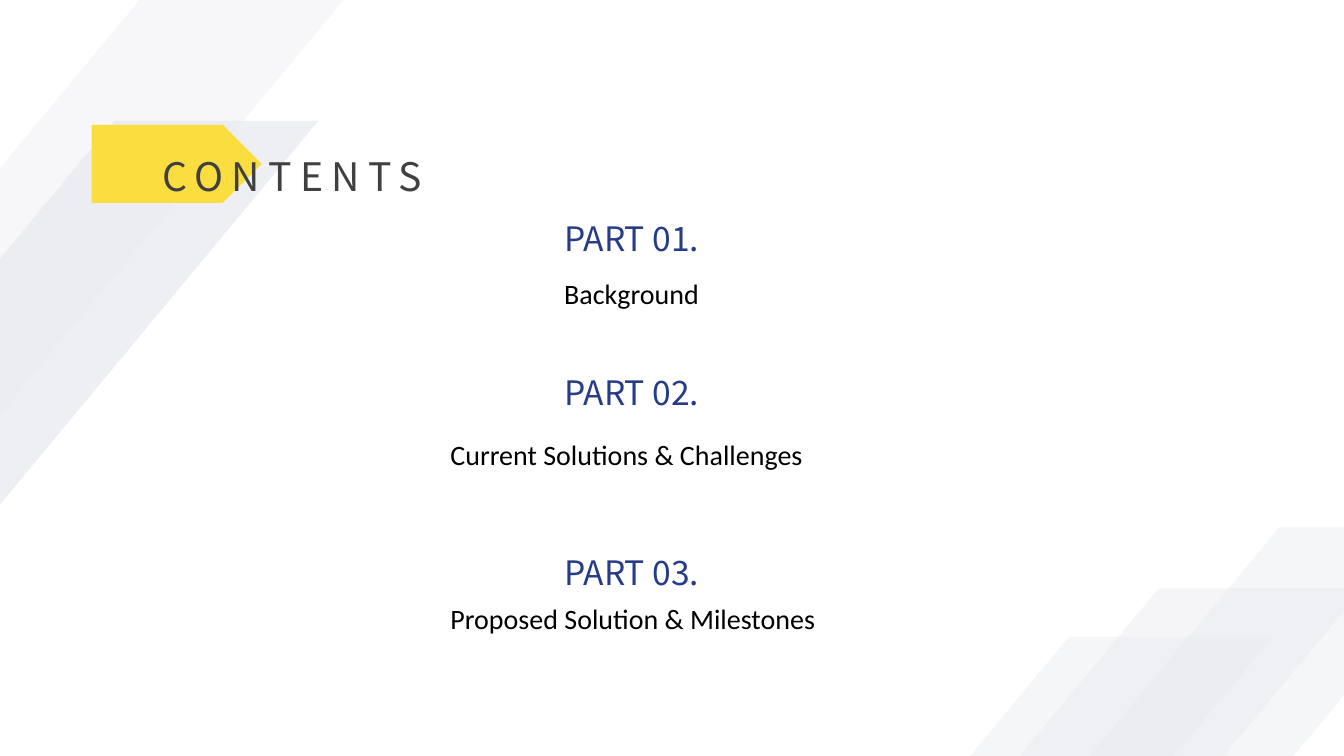
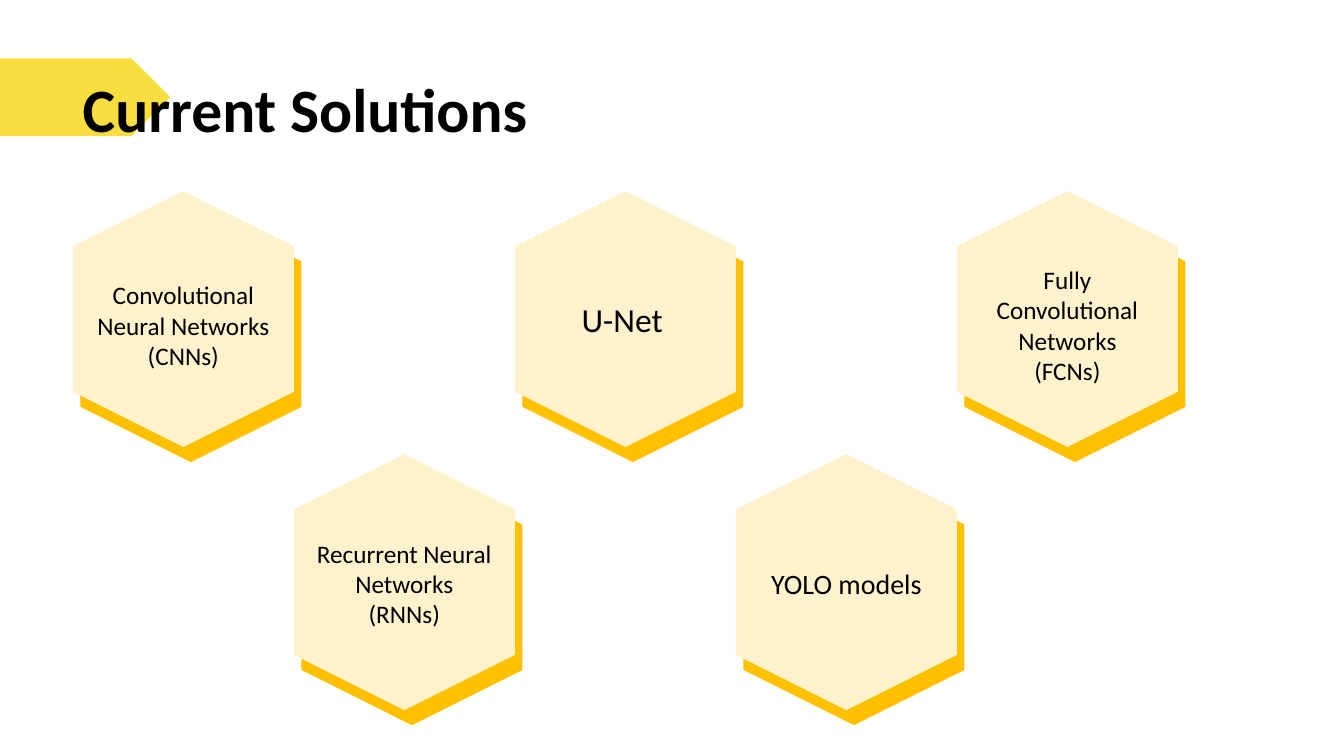
from lxml import etree
from pptx import Presentation
from pptx.dml.color import RGBColor
from pptx.enum import shapes, text
from pptx.oxml.ns import qn
from pptx.util import Cm, Pt

YELLOW, AMBER, CREAM = "FADE40", "FFC000", "FFF2CC"
NAVY, GREY, BLACK, MIST = "263C88", "404040", "000000", "E9EAEF"
SANS, CJK = "Calibri", "Noto Sans CJK SC"
SHAPE = shapes.MSO_SHAPE
LEFT, CENTER = text.PP_ALIGN.LEFT, text.PP_ALIGN.CENTER
TOP, MIDDLE = text.MSO_ANCHOR.TOP, text.MSO_ANCHOR.MIDDLE


def rgb(color):
    return RGBColor.from_string(color)


def add_block(s, kind, x, y, w, h, color, alpha=None):
    """Add a flat preset shape; alpha is its opacity in percent."""
    sp = s.shapes.add_shape(kind, Cm(x), Cm(y), Cm(w), Cm(h))
    sp.shadow.inherit = False
    sp.line.fill.background()
    sp.fill.solid()
    sp.fill.fore_color.rgb = rgb(color)
    if alpha is not None:
        clr = sp.fill._xPr.find(qn("a:solidFill"))[0]
        etree.SubElement(clr, qn("a:alpha")).set("val", str(alpha * 1000))
    return sp


def write(tf, lines, size, font=SANS, color=BLACK, bold=False,
          align=LEFT, anchor=TOP, spacing=0):
    """Fill a text frame, one paragraph a line; spacing is in points."""
    tf.word_wrap = True
    tf.auto_size = text.MSO_AUTO_SIZE.NONE
    tf.vertical_anchor = anchor
    for i, line in enumerate(lines):
        p = tf.add_paragraph() if i else tf.paragraphs[0]
        p.alignment = align
        r = p.add_run()
        r.text = line
        r.font.name, r.font.size, r.font.bold = font, Pt(size), bold
        r.font.color.rgb = rgb(color)
        if spacing:
            r._r.get_or_add_rPr().set("spc", str(spacing * 100))


def add_text(s, x, y, w, h, lines, size, **style):
    box = s.shapes.add_textbox(Cm(x), Cm(y), Cm(w), Cm(h))
    write(box.text_frame, lines, size, **style)


def title_band(s, x, y, title, dx, dy, w, h, size, **style):
    """Yellow tag at x, y with the slide title overlapping it by dx, dy."""
    add_block(s, SHAPE.PENTAGON, x, y, 4.29, 1.96, YELLOW)
    sp = s.shapes.title
    sp.left, sp.top, sp.width, sp.height = Cm(x + dx), Cm(y + dy), Cm(w), Cm(h)
    write(sp.text_frame, [title], size, **style)
    s.shapes._spTree.append(sp._element)  # bring in front of the tag


def stripes(s):
    for x, y, alpha in [(-6.45, 0, 35), (-7.09, 3.05, 76), (22.28, 13.28, 41),
                        (16.97, 16.05, 41), (19.23, 14.83, 43)]:
        sp = add_block(s, SHAPE.PARALLELOGRAM, x, y, 15.11, 12.01, MIST, alpha)
        sp.adjustments[0] = 0.83


def contents_slide(s):
    parts = [("Background", 5.36, 13.97, 6.85),
             ("Current Solutions & Challenges", 9.25, 11.1, 10.9),
             ("Proposed Solution & Milestones", 13.79, 11.1, 15.04)]
    for number, (topic, head_y, topic_x, topic_y) in enumerate(parts, 1):
        add_text(s, 13.97, head_y, 4.29, 1.45, [f"PART {number:02}."], 24,
                 font=CJK, color=NAVY)
        add_text(s, topic_x, topic_y, 10.26, 1.11, [topic], 20)
    stripes(s)
    title_band(s, 2.31, 3.15, "CONTENTS", 1.52, 0.57, 7.87, 1.7, 28,
               font=CJK, color=GREY, spacing=6)


def honeycomb(s, x, y, cells):
    """Zigzag of hexagons; x, y is the centre of the first cell."""
    height, width, row_drop = 6.45, 5.57, 6.63
    centres = [(x + width * i, y + row_drop * (i % 2)) for i in range(len(cells))]
    for dx, dy, color in [(0.19, 0.38, AMBER), (0, 0, CREAM)]:
        for cx, cy in centres:
            sp = add_block(s, SHAPE.HEXAGON, cx + dx - height / 2,
                           cy + dy - width / 2, height, width, color)
            sp.rotation = 90
    box_w, box_h = 5.1, 3.4
    for (cx, cy), (lines, size, dx, dy) in zip(centres, cells):
        add_text(s, cx + dx - box_w / 2, cy + dy - box_h / 2, box_w, box_h,
                 lines, size, align=CENTER, anchor=MIDDLE)


def solutions_slide(s):
    title_band(s, 0, 1.47, "Current Solutions", 1.83, 0.18, 15.09, 2.13, 44,
               bold=True)
    honeycomb(s, 4.62, 8.04, [
        (["Convolutional Neural Networks (CNNs)"], 18, 0, 0.15),
        (["Recurrent Neural Networks", "(RNNs)"], 18, 0, 0.03),
        (["U-Net"], 24, -0.08, 0),
        (["YOLO models"], 20, 0, 0.03),
        (["Fully Convolutional Networks", "(FCNs)"], 18, 0, 0.15)])


def main():
    prs = Presentation()
    prs.slide_width, prs.slide_height = Cm(33.87), Cm(19.05)
    for build in (contents_slide, solutions_slide):
        build(prs.slides.add_slide(prs.slide_layouts[5]))
    prs.save("out.pptx")


if __name__ == "__main__":
    main()
